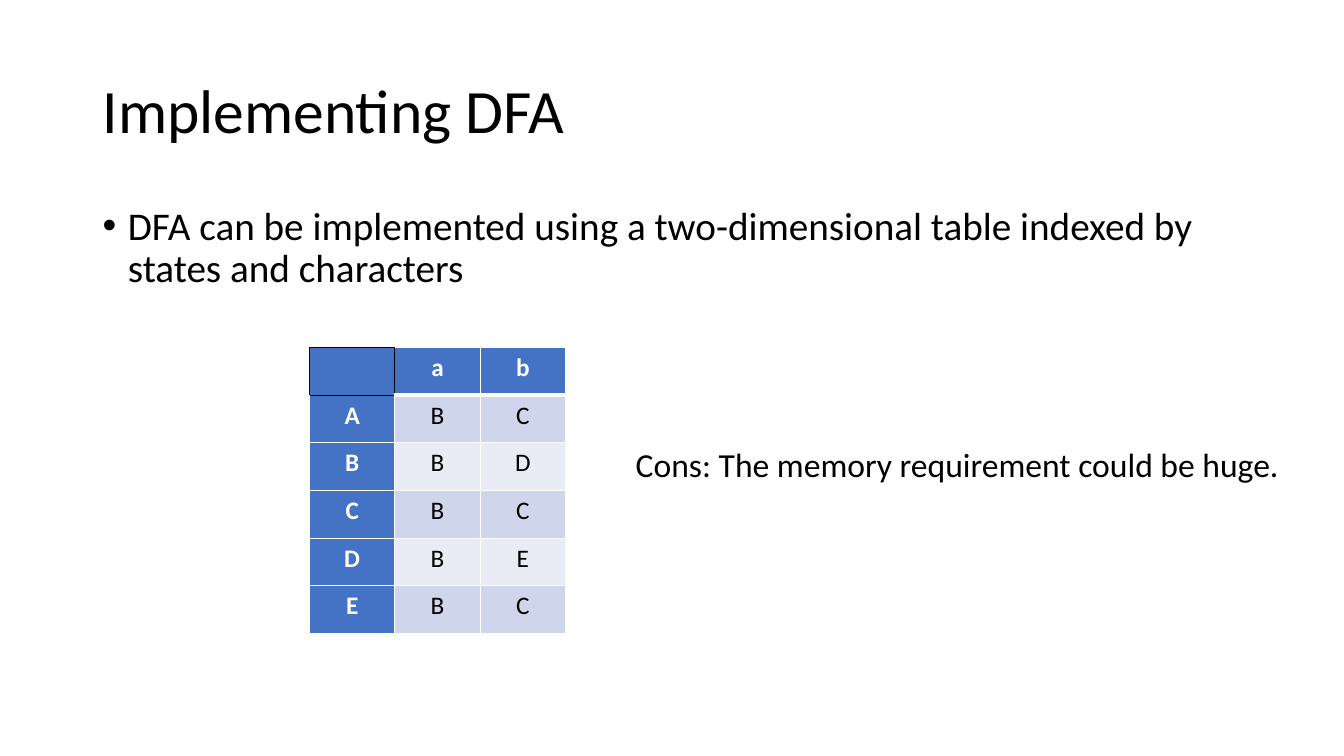
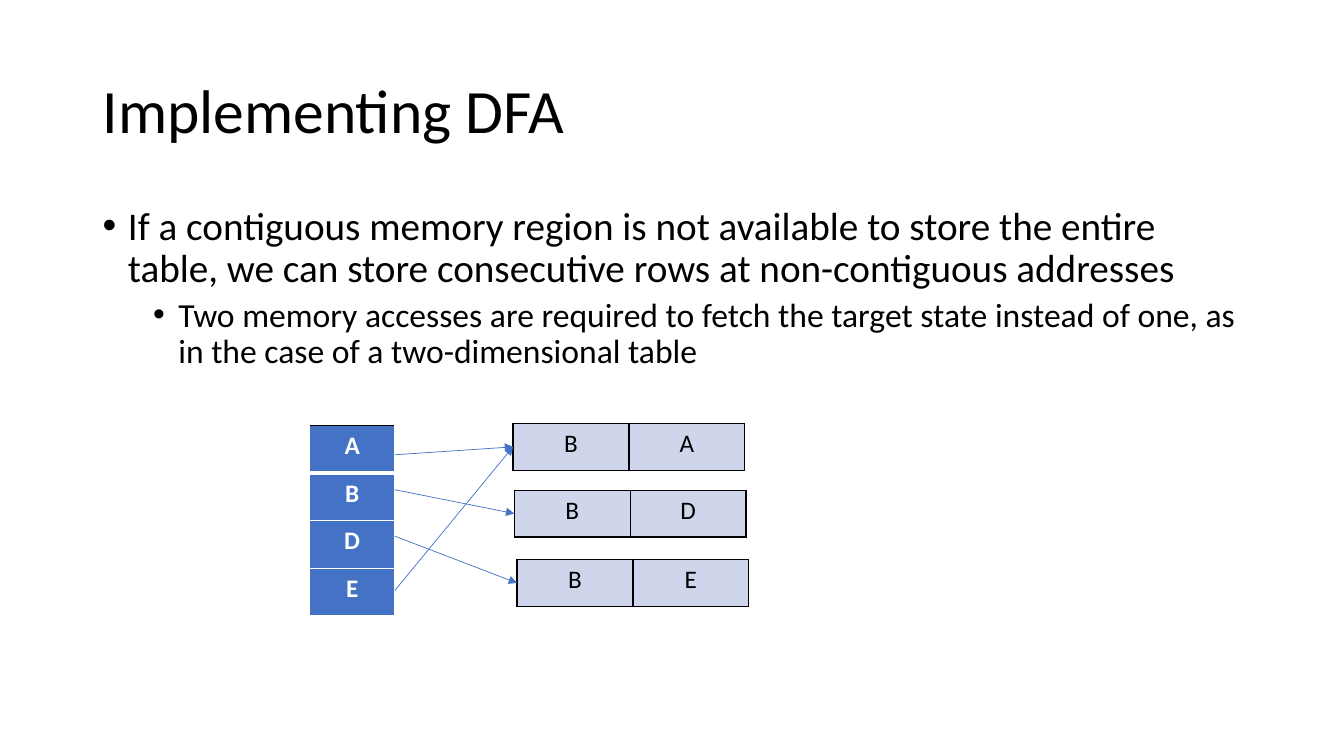
from lxml.etree import SubElement
from pptx import Presentation
from pptx.dml.color import RGBColor
from pptx.enum.shapes import MSO_CONNECTOR
from pptx.enum.text import MSO_ANCHOR, PP_ALIGN
from pptx.oxml.ns import qn
from pptx.util import Cm, Pt

FONT = "Calibri"
BLACK, WHITE = "000000", "FFFFFF"
BLUE, BAND, LIGHT_BAND = "4472C4", "CFD5EA", "E9EBF5"

# Boxes: left, top, width, height in centimetres
TITLE_BOX = (2.34, 1.02, 29.21, 3.68)
BODY_BOX = (2.34, 5.08, 29.21, 12.09)
ROW_HEIGHT = 1.2
STATE_WIDTH = 2.15
INDENT = 0.635


def color(hex_string):
    return RGBColor.from_string(hex_string)


def write(para, text, size=18, fill=BLACK, bold=False, align=None,
          line_spacing=None, before=0, level=None):
    """Fill one paragraph; a level makes it a bullet."""
    if level is not None:
        properties = para._p.get_or_add_pPr()
        properties.set("marL", str(Cm(INDENT * (1 + 2 * level))))
        properties.set("indent", str(-Cm(INDENT)))
        SubElement(properties, qn("a:buFont"), typeface="Arial")
        SubElement(properties, qn("a:buChar"), char="•")
        para.level = level
    para.alignment = align
    para.line_spacing = line_spacing
    para.space_before = Pt(before)
    span = para.add_run()
    span.text = text
    span.font.name = FONT
    span.font.size = Pt(size)
    span.font.bold = bold
    span.font.color.rgb = color(fill)


def add_text_box(page, box, anchor=MSO_ANCHOR.TOP):
    frame = page.shapes.add_textbox(*map(Cm, box)).text_frame
    frame.word_wrap = True
    frame.vertical_anchor = anchor
    return frame


def add_page(deck, title, bullets):
    """Page with a title and bullets given as (text, level)."""
    page = deck.slides.add_slide(deck.slide_layouts[6])
    frame = add_text_box(page, TITLE_BOX, MSO_ANCHOR.MIDDLE)
    write(frame.paragraphs[0], title, size=44, line_spacing=0.9)
    frame = add_text_box(page, BODY_BOX)
    for number, (text, level) in enumerate(bullets):
        para = frame.add_paragraph() if number else frame.paragraphs[0]
        write(para, text, size=28 - 4 * level, level=level, line_spacing=0.9,
              before=5 if number else 0)
    return page


def set_borders(cell, edges):
    """Edges map L, R, T and B to (colour, points)."""
    properties = cell._tc.get_or_add_tcPr()
    for side in "LRTB":
        hex_string, points = edges[side]
        line = SubElement(properties, qn(f"a:ln{side}"), w=str(Pt(points)))
        solid = SubElement(line, qn("a:solidFill"))
        SubElement(solid, qn("a:srgbClr"), val=hex_string)


def add_grid(page, left, top, column_width, row_height, rows, fill_of,
             border=WHITE, special_edges=None):
    """Table of centred cells; cells on blue are bold white."""
    columns = len(rows[0])
    table = page.shapes.add_table(
        len(rows), columns, Cm(left), Cm(top),
        Cm(column_width * columns), Cm(row_height * len(rows))).table
    table.first_row = table.horz_banding = False
    for column in table.columns:
        column.width = Cm(column_width)
    for row_index, row in enumerate(rows):
        table.rows[row_index].height = Cm(row_height)
        for column_index, text in enumerate(row):
            cell = table.cell(row_index, column_index)
            edges = dict.fromkeys("LRTB", (border, 1))
            edges.update((special_edges or {}).get((row_index, column_index), {}))
            set_borders(cell, edges)
            fill = fill_of(row_index, column_index)
            cell.fill.solid()
            cell.fill.fore_color.rgb = color(fill)
            if text:
                header = fill == BLUE
                write(cell.text_frame.paragraphs[0], text, bold=header,
                      fill=WHITE if header else BLACK, align=PP_ALIGN.CENTER)


def add_arrow(page, start, end):
    arrow = page.shapes.add_connector(
        MSO_CONNECTOR.STRAIGHT, *map(Cm, (*start, *end)))
    arrow.line.color.rgb = color(BLUE)
    arrow.line.width = Pt(0.5)
    SubElement(arrow.line._get_or_add_ln(), qn("a:tailEnd"), type="triangle")
    SubElement(arrow._element.spPr, qn("a:effectLst"))


def add_transition_table(page, left, top):
    """Full table: one row per state, one column per character."""
    rows = ["", "a", "b"], "ABC", "BBD", "CBC", "DBE", "EBC"

    def fill_of(row, column):
        if row == 0 or column == 0:
            return BLUE
        return BAND if row % 2 else LIGHT_BAND

    thick, black = (WHITE, 3), (BLACK, 1)
    add_grid(page, left, top, STATE_WIDTH, ROW_HEIGHT, rows, fill_of,
             special_edges={(0, 0): dict.fromkeys("LRTB", black),
                            (0, 1): {"L": black, "B": thick},
                            (0, 2): {"B": thick},
                            (1, 0): {"T": black}})


def add_row_pointers(page, left, top):
    """Column of states whose arrows lead to separately stored rows."""
    add_grid(page, left, top, STATE_WIDTH, ROW_HEIGHT, "ABDE",
             lambda row, column: BLUE,
             special_edges={(0, 0): {"T": (BLACK, 1), "B": (WHITE, 3)}})

    # Stored rows, offset from the state column
    width, height = 2.92, 1.18
    targets = {}
    for cells, across, down in (("BE", 5.23, 3.38), ("BD", 5.16, 1.63),
                                ("BA", 5.13, -0.05)):
        add_grid(page, left + across, top + down, width, height, [cells],
                 lambda row, column: BAND, border=BLACK)
        targets[cells] = (left + across, top + down + height / 2)

    # Pointers from the right edge of the state column
    for down, cells in ((0.74, "BA"), (1.62, "BD"), (2.79, "BE"), (4.16, "BA")):
        add_arrow(page, (left + STATE_WIDTH, top + down), targets[cells])


def main():
    deck = Presentation()
    deck.slide_width, deck.slide_height = Cm(33.87), Cm(19.05)

    # Two-dimensional table
    page = add_page(deck, "Implementing DFA", [
        ("DFA can be implemented using a two-dimensional table indexed by "
         "states and characters", 0)])
    add_transition_table(page, 7.8, 8.76)
    remark = add_text_box(page, (15.77, 11.07, 17.5, 1.27))
    write(remark.paragraphs[0], "Cons: The memory requirement could be huge.",
          size=24)

    # Rows at separate addresses
    page = add_page(deck, "Implementing DFA", [
        ("If a contiguous memory region is not available to store the entire "
         "table, we can store consecutive rows at non-contiguous addresses", 0),
        ("Two memory accesses are required to fetch the target state instead "
         "of one, as in the case of a two-dimensional table", 1)])
    add_row_pointers(page, 7.8, 10.72)

    deck.save("out.pptx")


if __name__ == "__main__":
    main()
